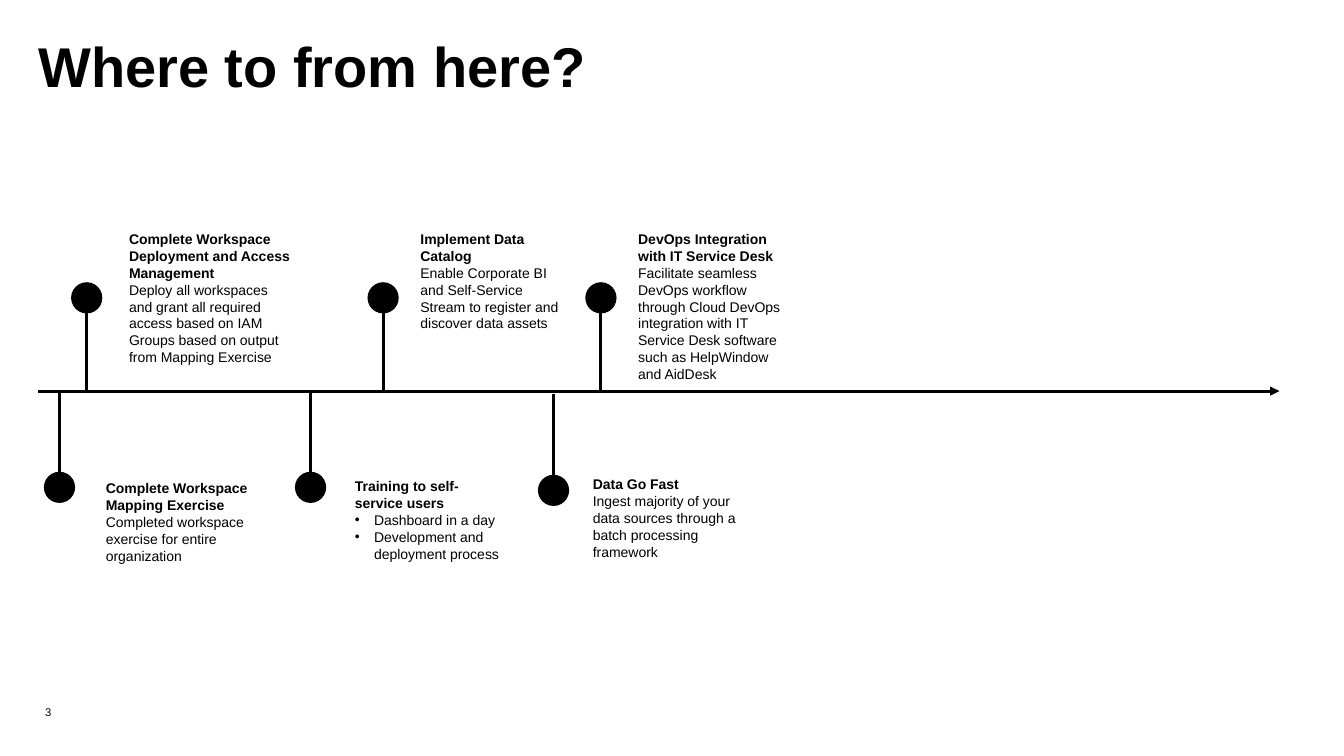
from lxml import etree
from pptx import Presentation
from pptx.dml.color import RGBColor
from pptx.enum.shapes import MSO_CONNECTOR, MSO_SHAPE
from pptx.enum.text import MSO_ANCHOR, MSO_AUTO_SIZE, PP_ALIGN
from pptx.oxml.ns import qn
from pptx.util import Inches, Pt

BLACK = RGBColor(0, 0, 0)
FONT = "Arial"
LINE = MSO_CONNECTOR.STRAIGHT
OVAL = MSO_SHAPE.OVAL
TOP, MIDDLE = MSO_ANCHOR.TOP, MSO_ANCHOR.MIDDLE
LEFT, RIGHT = PP_ALIGN.LEFT, PP_ALIGN.RIGHT
NO_FIT = MSO_AUTO_SIZE.NONE

TITLE = "Where to from here?"
PAGE = "3"

# stem x, stem shift down, text box (left, top, width, height), heading, body
# A body given as a list is bulleted.
ABOVE = [
    (0.86, 0, (1.28, 2.29, 1.63, 1.35),
     "Complete Workspace Deployment and Access Management",
     "Deploy all workspaces and grant all required access based on IAM "
     "Groups based on output from Mapping Exercise"),
    (3.8, 0, (4.17, 2.29, 1.46, 1.01),
     "Implement Data Catalog",
     "Enable Corporate BI and Self-Service Stream to register and "
     "discover data assets"),
    (5.96, 0, (6.33, 2.29, 1.46, 1.51),
     "DevOps Integration with IT Service Desk",
     "Facilitate seamless DevOps workflow through Cloud DevOps integration "
     "with IT Service Desk software such as HelpWindow and AidDesk"),
]
BELOW = [
    (0.59, 0, (1.05, 4.76, 1.46, 0.84),
     "Complete Workspace Mapping Exercise",
     "Completed workspace exercise for entire organization"),
    (3.08, 0, (3.52, 4.74, 1.46, 0.84),
     "Training to self-service users",
     ["Dashboard in a day", "Development and deployment process"]),
    (5.49, 0.03, (5.88, 4.72, 1.46, 0.84),
     "Data Go Fast",
     "Ingest majority of your data sources through a batch processing "
     "framework"),
]

AXIS_Y, AXIS_LEFT, AXIS_RIGHT = 3.88, 0.38, 12.69
DOT = 0.31
DOT_ABOVE, DOT_BELOW = 2.8, 4.68
STEM_TOP = 3.05
INDENT = 0.19


def add_line(slide, x1, y1, x2, y2, arrow=False):
    line = slide.shapes.add_connector(LINE, *map(Inches, (x1, y1, x2, y2)))
    line.line.color.rgb = BLACK
    line.line.width = Pt(2.25)
    if arrow:
        etree.SubElement(line.line._get_or_add_ln(), qn("a:tailEnd"),
                         type="triangle")
    etree.SubElement(line._element.spPr, qn("a:effectLst"))


def add_dot(slide, mid, top):
    dot = slide.shapes.add_shape(
        OVAL, *map(Inches, (mid - DOT / 2, top, DOT, DOT)))
    dot.shadow.inherit = False
    dot.fill.solid()
    dot.fill.fore_color.rgb = BLACK
    dot.line.fill.background()


def set_frame(frame, anchor=TOP, wrap=True):
    frame.margin_left = frame.margin_right = 0
    frame.margin_top = frame.margin_bottom = 0
    frame.auto_size = NO_FIT
    frame.vertical_anchor = anchor
    frame.word_wrap = wrap


def add_run(para, text, size, bold=False, align=LEFT):
    para.alignment = align
    run = para.add_run()
    run.text = text
    run.font.name = FONT
    run.font.size = Pt(size)
    run.font.bold = bold
    run.font.color.rgb = BLACK


def add_bullet(para):
    props = para._p.get_or_add_pPr()
    props.set("marL", str(Inches(INDENT)))
    props.set("indent", str(-Inches(INDENT)))
    etree.SubElement(props, qn("a:buFont"), typeface=FONT)
    etree.SubElement(props, qn("a:buChar"), char="•")


def add_note(slide, box, head, body):
    frame = slide.shapes.add_textbox(*map(Inches, box)).text_frame
    set_frame(frame)
    add_run(frame.paragraphs[0], head, 10, bold=True)
    listed = isinstance(body, list)
    for text in body if listed else [body]:
        para = frame.add_paragraph()
        if listed:
            add_bullet(para)
        add_run(para, text, 10)


def main():
    deck = Presentation()
    deck.slide_width, deck.slide_height = Inches(13.33), Inches(7.5)
    slide = deck.slides.add_slide(deck.slide_layouts[5])

    title = slide.shapes.title
    title.left, title.top = Inches(0.38), Inches(0.39)
    title.width, title.height = Inches(12.58), Inches(0.61)
    set_frame(title.text_frame)
    para = title.text_frame.paragraphs[0]
    para.line_spacing = 0.9
    add_run(para, TITLE, 40, bold=True)

    page = slide.shapes.add_textbox(*map(Inches, (0.38, 7, 0.13, 0.13)))
    set_frame(page.text_frame, MIDDLE, wrap=False)
    add_run(page.text_frame.paragraphs[0], PAGE, 8, align=RIGHT)

    add_line(slide, AXIS_LEFT, AXIS_Y, AXIS_RIGHT, AXIS_Y, arrow=True)
    for steps, start, end, dot in ((ABOVE, STEM_TOP, AXIS_Y, DOT_ABOVE),
                                   (BELOW, AXIS_Y, DOT_BELOW, DOT_BELOW)):
        for x, shift, box, head, body in steps:
            add_line(slide, x, start + shift, x, end + shift)
            add_dot(slide, x, dot + shift)
            add_note(slide, box, head, body)

    deck.save("out.pptx")


if __name__ == "__main__":
    main()
